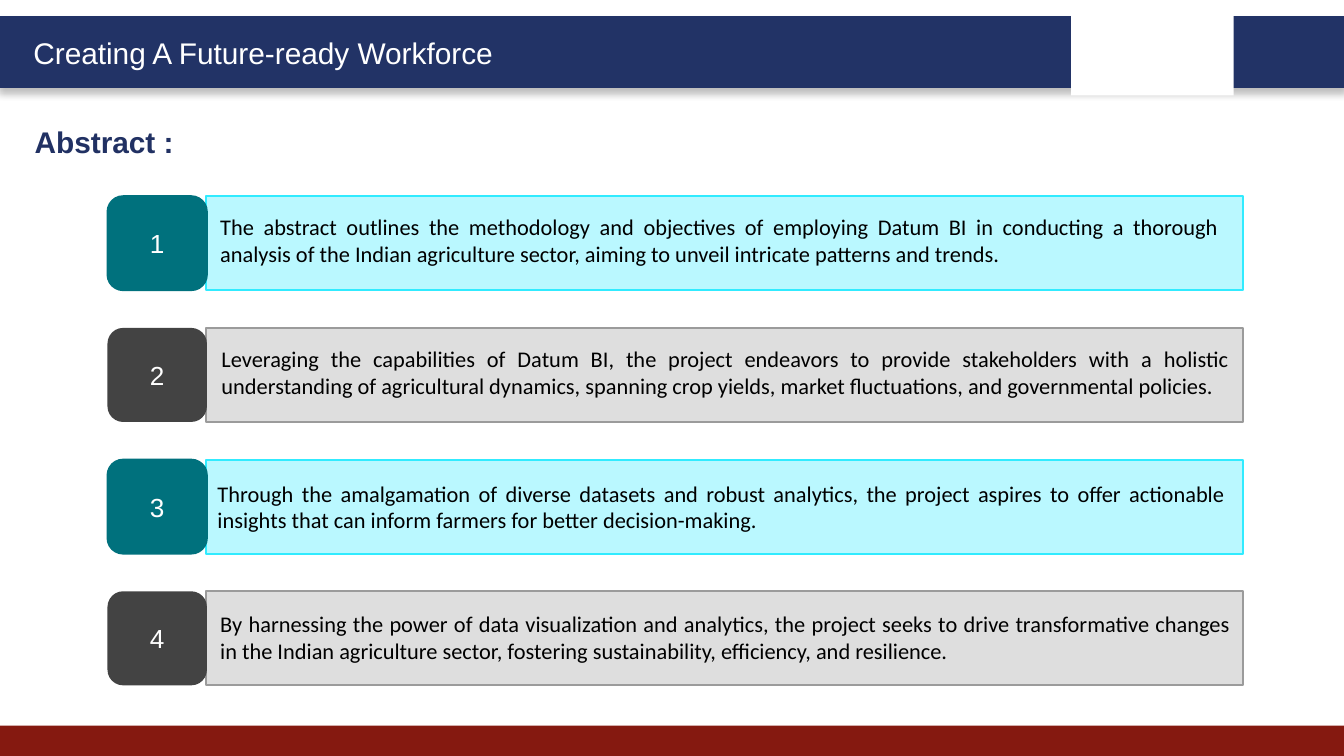
from lxml import etree
from pptx import Presentation
from pptx.dml.color import RGBColor
from pptx.enum.shapes import MSO_SHAPE
from pptx.enum.text import MSO_ANCHOR, MSO_AUTO_SIZE, PP_ALIGN
from pptx.oxml.ns import qn
from pptx.util import Inches, Pt

RECT, ROUNDED = MSO_SHAPE.RECTANGLE, MSO_SHAPE.ROUNDED_RECTANGLE
LEFT, CENTER, JUSTIFY = PP_ALIGN.LEFT, PP_ALIGN.CENTER, PP_ALIGN.JUSTIFY
MIDDLE = MSO_ANCHOR.MIDDLE
GROW = MSO_AUTO_SIZE.SHAPE_TO_FIT_TEXT

NAVY, RED, WHITE, BLACK = "223366", "851910", "FFFFFF", "000000"

# Panel fill, panel line, badge fill, badge line
TEAL = ("BAF8FF", "31EBFF", "00717D", "00717D")
GRAY = ("DEDEDE", "9B9B9B", "434343", None)

ROW_TOP, ROW_STEP, ROW_H = 1.46, 0.98, 0.7

# Text box left, top and width, then the wording
POINTS = [
    (1.54, 1.54, 7.63,
     "The abstract outlines the methodology and objectives of employing Datum BI "
     "in conducting a thorough analysis of the Indian agriculture sector, aiming "
     "to unveil intricate patterns and trends."),
    (1.55, 2.52, 7.7,
     "Leveraging the capabilities of Datum BI, the project endeavors to provide "
     "stakeholders with a holistic understanding of agricultural dynamics, spanning "
     "crop yields, market fluctuations, and governmental policies."),
    (1.52, 3.52, 7.7,
     "Through the amalgamation of diverse datasets and robust analytics, the project "
     "aspires to offer actionable insights that can inform farmers for better "
     "decision-making."),
    (1.54, 4.49, 7.72,
     "By harnessing the power of data visualization and analytics, the project seeks "
     "to drive transformative changes in the Indian agriculture sector, fostering "
     "sustainability, efficiency, and resilience."),
]


def rgb(color):
    return RGBColor.from_string(color)


def write(sp, text, size=12, font="Arial", color=WHITE, bold=False, align=LEFT):
    p = sp.text_frame.paragraphs[0]
    p.alignment = align
    r = p.add_run()
    r.text = text
    r.font.size = Pt(size)
    r.font.name = font
    r.font.bold = bold
    r.font.color.rgb = rgb(color)


def add_box(s, kind, x, y, w, h, fill, line=None, line_width=1):
    sp = s.shapes.add_shape(kind, Inches(x), Inches(y), Inches(w), Inches(h))
    sp.shadow.inherit = False
    sp.fill.solid()
    sp.fill.fore_color.rgb = rgb(fill)
    if line:
        sp.line.color.rgb = rgb(line)
        sp.line.width = Pt(line_width)
    else:
        sp.line.fill.background()
    return sp


def add_text(s, x, y, w, h, text, **fmt):
    sp = s.shapes.add_textbox(Inches(x), Inches(y), Inches(w), Inches(h))
    sp.text_frame.word_wrap = True
    sp.text_frame.auto_size = GROW
    write(sp, text, **fmt)


def add_shadow(sp, color, opacity, blur, distance, angle):
    effects = sp._element.spPr.find(qn("a:effectLst"))
    shadow = etree.SubElement(
        effects, qn("a:outerShdw"), blurRad=str(Pt(blur)), dist=str(Pt(distance)),
        dir=str(angle * 60000), algn="t", rotWithShape="0")
    clr = etree.SubElement(shadow, qn("a:srgbClr"), val=color)
    etree.SubElement(clr, qn("a:alpha"), val=str(opacity * 1000))


def add_frame(s):
    header = add_box(s, RECT, 0, 0.13, 10, 0.51, NAVY, NAVY, 2)
    add_shadow(header, BLACK, opacity=25, blur=4, distance=3, angle=90)
    add_box(s, RECT, 0, 5.4, 10, 0.23, RED)
    add_box(s, RECT, 7.97, 0.07, 1.21, 0.64, WHITE)
    add_text(s, 0.15, 0.21, 3.78, 0.37, "Creating A Future-ready Workforce", size=16)


def add_row(s, index):
    panel, edge, badge, badge_edge = GRAY if index % 2 else TEAL
    y = ROW_TOP + index * ROW_STEP
    add_box(s, RECT, 1.53, y, 7.72, ROW_H, panel, edge)
    sp = add_box(s, ROUNDED, 0.8, y, 0.74, ROW_H, badge, badge_edge)
    sp.text_frame.vertical_anchor = MIDDLE
    write(sp, str(index + 1), size=14, align=CENTER)


def main():
    # Widescreen slide, 16 to 9
    prs = Presentation()
    prs.slide_width = Inches(10)
    prs.slide_height = Inches(10 * 9 / 16)
    s = prs.slides.add_slide(prs.slide_layouts[6])

    # Header, footer and heading
    add_frame(s)
    add_text(s, 0.16, 0.87, 4.84, 0.37, "Abstract :", size=16, color="213163", bold=True)

    # Numbered panels, then their wording
    for i in range(len(POINTS)):
        add_row(s, i)
    for x, y, w, text in POINTS:
        add_text(s, x, y, w, 0.5, text, font="Calibri", color=BLACK, align=JUSTIFY)

    prs.save("out.pptx")


if __name__ == "__main__":
    main()
